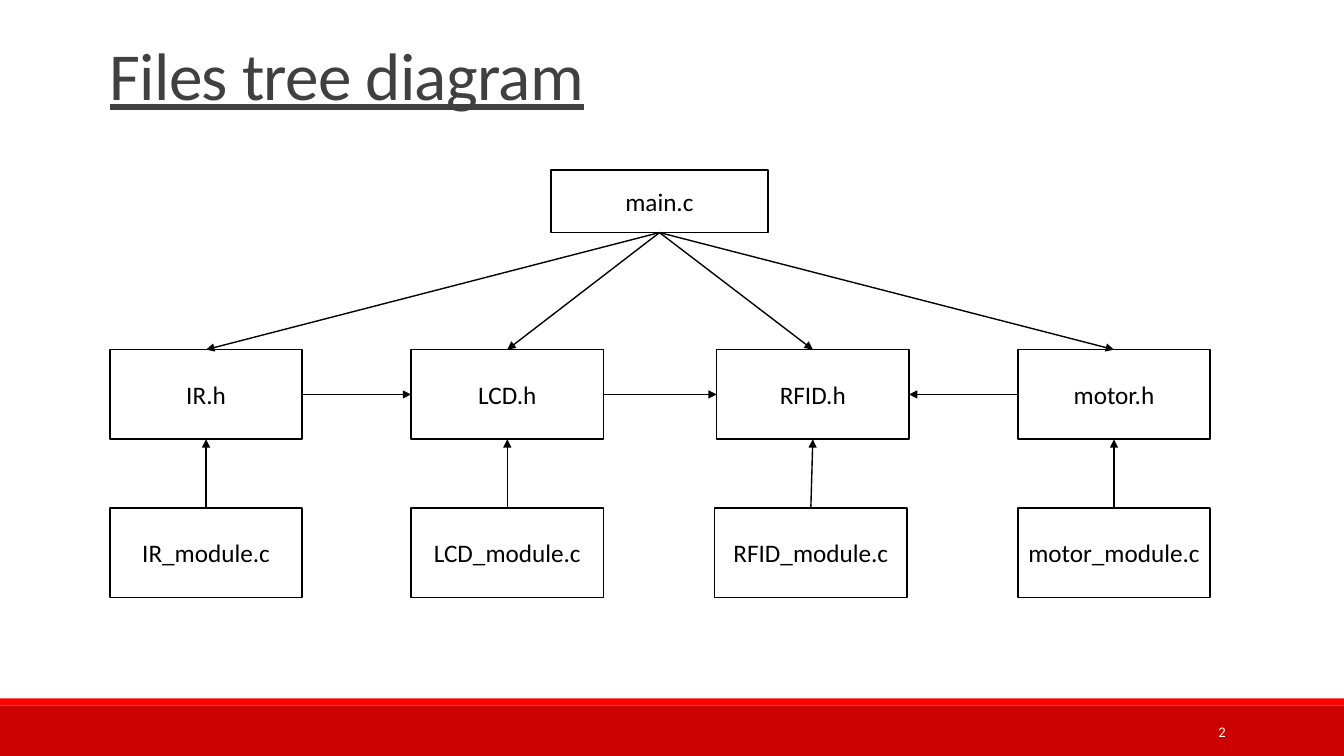
from lxml import etree
from pptx import Presentation
from pptx.dml.color import RGBColor
from pptx.enum import shapes, text
from pptx.oxml.ns import qn
from pptx.util import Cm, Pt

FONT = "Calibri"
BLACK, WHITE = "000000", "FFFFFF"
TOP, LEFT, BOTTOM, RIGHT = range(4)

FILE_WIDTH, FILE_HEIGHT = 4.85, 2.26
HEADER_TOP, MODULE_TOP = 8.81, 12.8
# name, left of the header, left of its module
COMPONENTS = [
    ("IR", 2.77, 2.77),
    ("LCD", 10.36, 10.36),
    ("RFID", 18.06, 18.01),
    ("motor", 25.65, 25.65),
]


def rgb(colour):
    return RGBColor.from_string(colour)


def write(frame, wording, size, colour, align, anchor):
    frame.auto_size = text.MSO_AUTO_SIZE.NONE
    frame.vertical_anchor = anchor
    paragraph = frame.paragraphs[0]
    paragraph.alignment = align
    run = paragraph.add_run()
    run.text = wording
    run.font.name = FONT
    run.font.size = Pt(size)
    run.font.color.rgb = rgb(colour)
    return paragraph, run


def add_box(slide, left, top, width, height, fill, outlined=False):
    box = slide.shapes.add_shape(
        shapes.MSO_SHAPE.RECTANGLE, Cm(left), Cm(top), Cm(width), Cm(height))
    box.shadow.inherit = False
    box.fill.solid()
    box.fill.fore_color.rgb = rgb(fill)
    if outlined:
        box.line.color.rgb = rgb(BLACK)
        box.line.width = Pt(1.25)
    else:
        box.line.fill.background()
    return box


def add_file(slide, name, left, top, width=FILE_WIDTH, height=FILE_HEIGHT):
    box = add_box(slide, left, top, width, height, WHITE, outlined=True)
    box.text_frame.word_wrap = False
    write(box.text_frame, name, 18, BLACK,
          text.PP_ALIGN.CENTER, text.MSO_ANCHOR.MIDDLE)
    return box


def add_arrow(slide, source, source_side, target, target_side):
    arrow = slide.shapes.add_connector(shapes.MSO_CONNECTOR.STRAIGHT, 0, 0, 0, 0)
    arrow.begin_connect(source, source_side)
    arrow.end_connect(target, target_side)
    arrow.line.color.rgb = rgb(BLACK)
    arrow.line.width = Pt(1)
    etree.SubElement(arrow.line._get_or_add_ln(), qn("a:tailEnd"), type="triangle")
    etree.SubElement(arrow._element.spPr, qn("a:effectLst"))


def add_title(slide, wording):
    title = slide.shapes.title
    title.left, title.top = Cm(2.51), Cm(-1.04)
    title.width, title.height = Cm(27.94), Cm(4.04)
    paragraph, run = write(title.text_frame, wording, 48, "404040",
                           text.PP_ALIGN.LEFT, text.MSO_ANCHOR.BOTTOM)
    paragraph.line_spacing = 0.85
    run.font.underline = True
    run.font._element.set("spc", "-50")


def add_footer(slide, number):
    add_box(slide, 0, 17.78, 33.87, 1.27, "CC0000")
    add_box(slide, 0, 17.6, 33.87, 0.18, "FF0000")
    page = slide.shapes.add_textbox(Cm(27.51), Cm(17.93), Cm(3.63), Cm(1.02))
    page.text_frame.word_wrap = True
    write(page.text_frame, number, 10.5, WHITE,
          text.PP_ALIGN.RIGHT, text.MSO_ANCHOR.MIDDLE)


def add_file_tree(slide):
    main_file = add_file(slide, "main.c", 13.89, 4.29, 5.46, 1.57)
    headers = []
    for name, header_left, module_left in COMPONENTS:
        header = add_file(slide, f"{name}.h", header_left, HEADER_TOP)
        module = add_file(slide, f"{name}_module.c", module_left, MODULE_TOP)
        add_arrow(slide, module, TOP, header, BOTTOM)
        add_arrow(slide, main_file, BOTTOM, header, TOP)
        headers.append(header)

    ir, lcd, rfid, motor = headers
    add_arrow(slide, ir, RIGHT, lcd, LEFT)
    add_arrow(slide, lcd, RIGHT, rfid, LEFT)
    add_arrow(slide, motor, LEFT, rfid, RIGHT)


def main():
    deck = Presentation()
    deck.slide_width, deck.slide_height = Cm(33.87), Cm(19.05)
    slide = deck.slides.add_slide(deck.slide_layouts[5])
    add_footer(slide, "2")
    add_title(slide, "Files tree diagram")
    add_file_tree(slide)
    deck.save("out.pptx")


if __name__ == "__main__":
    main()
